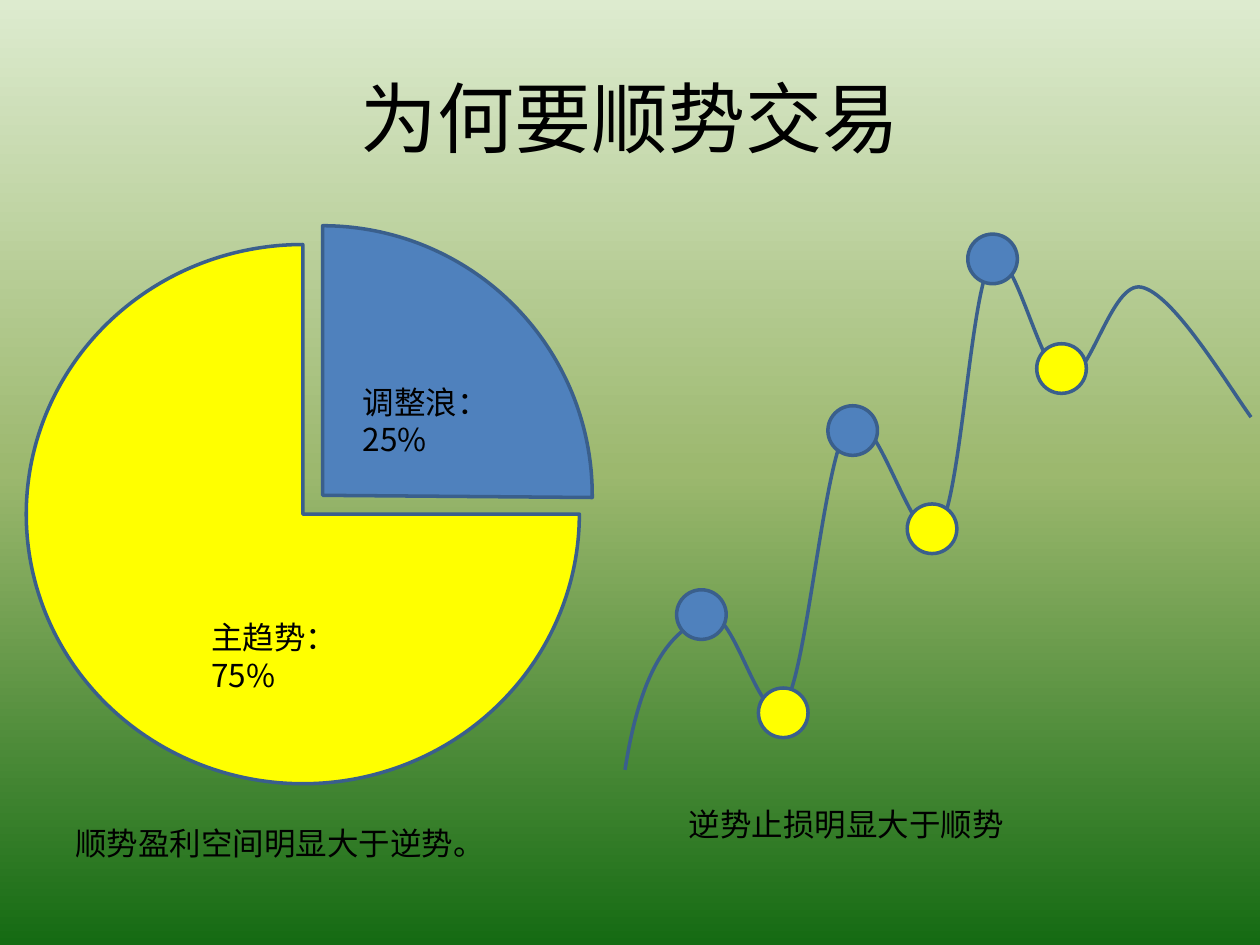
from copy import deepcopy
from dataclasses import dataclass

from lxml import etree
from pptx import Presentation, util as u
from pptx.dml.color import RGBColor as Rgb
from pptx.enum import shapes, text
from pptx.oxml import ns


@dataclass(frozen=True)
class Theme:
    font: str = "Noto Sans CJK SC"
    ink: str = "000000"
    edge: str = "3A5F8C"
    trend: str = "FFFF00"
    swing: str = "4F81BD"
    back: tuple = ((0, "DDEBCF"), (0.5, "9CB86E"), (1, "156B13"))
    head: int = 44
    note: int = 18
    rule: int = 2


look = Theme()


def write(frame, words, size=look.note, align=text.PP_ALIGN.LEFT,
          anchor=text.MSO_ANCHOR.TOP, fit=text.MSO_AUTO_SIZE.SHAPE_TO_FIT_TEXT):
    frame.word_wrap = True
    frame.auto_size = fit
    frame.vertical_anchor = anchor
    para = frame.paragraphs[0]
    para.alignment = align
    run = para.add_run()
    run.text = words
    run.font.size = u.Pt(size)
    run.font.name = look.font
    run.font.color.rgb = Rgb.from_string(look.ink)
    east = etree.SubElement(run.font._element, ns.qn("a:ea"))
    east.set("typeface", look.font)


def paint(shape, fill=None):
    shape.shadow.inherit = False
    shape.line.color.rgb = Rgb.from_string(look.edge)
    shape.line.width = u.Pt(look.rule)
    if fill:
        shape.fill.solid()
        shape.fill.fore_color.rgb = Rgb.from_string(fill)
    else:
        shape.fill.background()


deck = Presentation()
deck.slide_width, deck.slide_height = u.Cm(25.4), u.Cm(19.05)
slide = deck.slides.add_slide(deck.slide_layouts[5])
items = slide.shapes

# Background: three stops, light at the top
fill = slide.background.fill
fill.gradient()
fill.gradient_angle = 270
stops = slide._element.find(".//" + ns.qn("a:gsLst"))
stops.append(deepcopy(stops[-1]))
for stop, (place, tone) in zip(fill.gradient_stops, look.back):
    stop.position = place
    stop.color.rgb = Rgb.from_string(tone)

# Title
title = items.title
title.left, title.top = u.Cm(1.27), u.Cm(0.76)
title.width, title.height = u.Cm(22.86), u.Cm(3.18)
write(title.text_frame, "为何要顺势交易", size=look.head,
      align=text.PP_ALIGN.CENTER, anchor=text.MSO_ANCHOR.MIDDLE,
      fit=text.MSO_AUTO_SIZE.NONE)

# Pie: main trend, with the correction pulled out
pie = shapes.MSO_SHAPE.PIE
main = items.add_shape(pie, u.Cm(0.53), u.Cm(4.93), u.Cm(11.15), u.Cm(10.87))
paint(main, look.trend)
wedge = items.add_shape(pie, u.Cm(1.07), u.Cm(4.55), u.Cm(10.87), u.Cm(10.87))
wedge.rotation = 270
wedge.adjustments[1] = 54.28
paint(wedge, look.swing)

# Price curve: two control points and an end point per segment
start = (12.6, 15.52)
curve = [
    ((12.98, 13.08), (13.74, 12.65), (14.27, 12.42)),
    ((14.81, 12.22), (15.34, 14.83), (15.82, 14.2)),
    ((16.28, 13.54), (16.61, 9.12), (17.12, 8.56)),
    ((17.63, 7.98), (18.44, 11.25), (18.9, 10.72)),
    ((19.38, 10.16), (19.56, 5.79), (19.99, 5.28)),
    ((20.42, 4.78), (20.96, 7.57), (21.46, 7.65)),
    ((21.97, 7.72), (22.4, 5.66), (23.01, 5.79)),
    ((23.65, 5.92), (24.71, 7.7), (25.22, 8.41)),
]
pen = items.build_freeform(u.Cm(start[0]), u.Cm(start[1]))
pen.add_line_segments([(u.Cm(x), u.Cm(y)) for *_, (x, y) in curve], close=False)
price = pen.convert_to_shape()
paint(price)

# Bend each straight segment into a Bézier
for part, points in zip(list(price._element.iter(ns.qn("a:lnTo"))), curve):
    bend = etree.Element(ns.qn("a:cubicBezTo"))
    for x, y in points:
        point = etree.SubElement(bend, ns.qn("a:pt"))
        point.set("x", str(u.Cm(x) - price.left))
        point.set("y", str(u.Cm(y) - price.top))
    part.getparent().replace(part, bend)

# Turning points: lows, then highs
dots = {
    look.trend: [(15.29, 13.87), (18.29, 10.16), (20.9, 6.93)],
    look.swing: [(13.64, 11.89), (16.69, 8.18), (19.51, 4.72)],
}
for tone, spots in dots.items():
    for x, y in spots:
        dot = items.add_shape(shapes.MSO_SHAPE.OVAL, u.Cm(x), u.Cm(y),
                              u.Cm(1), u.Cm(1))
        paint(dot, tone)

# Labels and captions
notes = [
    ("主趋势：75%", 4.01, 12.34, 4.19),
    ("调整浪：25%", 7.06, 7.59, 4.19),
    ("逆势止损明显大于顺势", 13.64, 16.1, 10.57),
    ("顺势盈利空间明显大于逆势。", 1.27, 16.48, 10.57),
]
for words, x, y, wide in notes:
    box = items.add_textbox(u.Cm(x), u.Cm(y), u.Cm(wide), u.Cm(1.02))
    write(box.text_frame, words)

deck.save("out.pptx")
